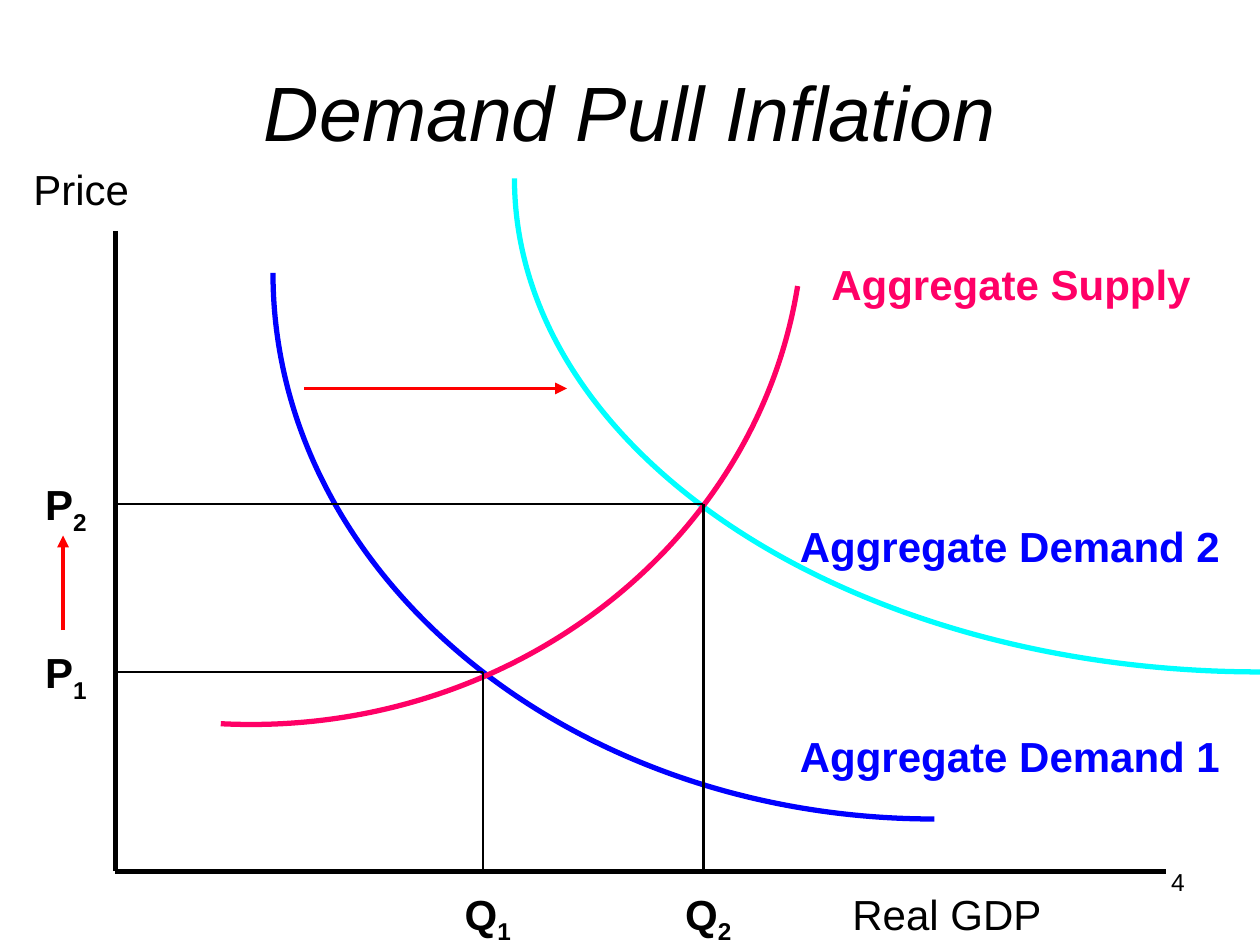
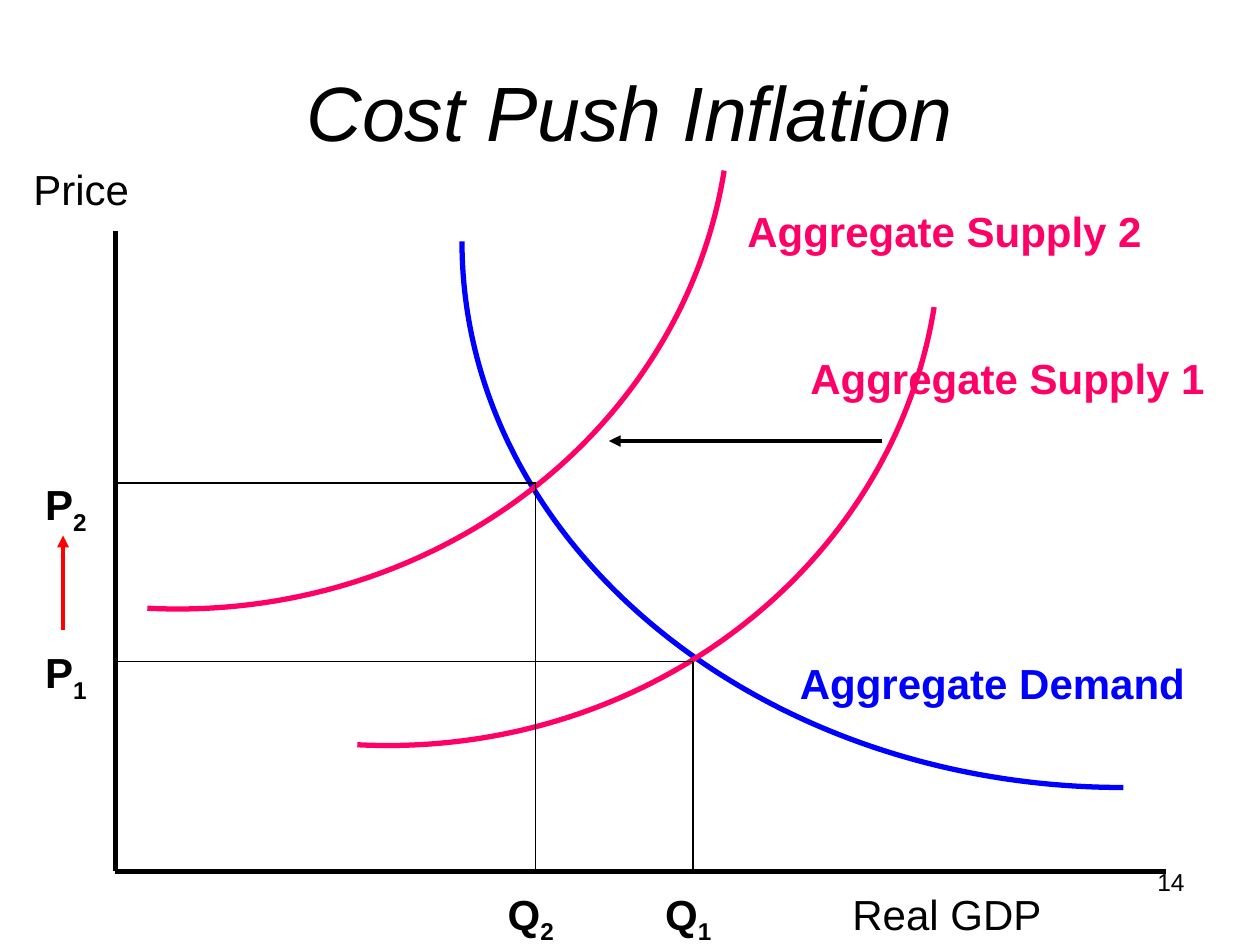
from math import cos, radians, sin, tan

from lxml.etree import SubElement
from pptx import Presentation
from pptx.dml.color import RGBColor
from pptx.enum.shapes import MSO_CONNECTOR
from pptx.enum.text import MSO_ANCHOR, MSO_AUTO_SIZE, PP_ALIGN
from pptx.oxml.ns import qn
from pptx.util import Pt

COLORS = {
    "ink": "000000",
    "demand": "0000FF",
    "new demand": "00FFFF",
    "supply": "FF0066",
    "shift": "FF0000",
}
FONT = "Arial"

# Axes, in points
AXIS_LEFT, AXIS_TOP, AXIS_RIGHT, AXIS_BOTTOM = 66, 132, 666, 498

# Each curve kind is part of an ellipse: start and end angle in degrees
ARC_ANGLES = {"demand": (90, 180), "supply": (93.1, 8.5)}

# curves: kind, colour, centre x, centre y, radius x, radius y
# equilibria: subscript, quantity x, price y, width of the quantity line, Q label left
# labels: text, colour, left, top, width
DIAGRAMS = [
    {
        "title": "Demand Pull Inflation",
        "number": "4",
        "curves": [
            ("demand", "new demand", 720, 102, 426, 282),
            ("demand", "demand", 534, 156, 378, 312),
            ("supply", "supply", 143.3, 120, 316, 294),
        ],
        "equilibria": [("1", 276, 384, 0.75, 258.5), ("2", 402, 288, 1.5, 384.5)],
        "labels": [
            ("Aggregate Supply", "supply", 468, 144, 222),
            ("Aggregate Demand 2", "demand", 450, 294, 270),
            ("Aggregate Demand 1", "demand", 450, 414, 270),
        ],
        "shift": ("shift", 174, 324, 222),
    },
    {
        "title": "Cost Push Inflation",
        "number": "14",
        "curves": [
            ("demand", "demand", 642, 138, 378, 312),
            ("supply", "supply", 221.3, 132, 316, 294),
            ("supply", "supply", 101.3, 54, 316, 294),
        ],
        "equilibria": [("1", 396, 378, 0.75, 373), ("2", 306, 276, 0.75, 283)],
        "labels": [
            ("Aggregate Supply 2", "supply", 420, 114, 252),
            ("Aggregate Supply 1", "supply", 456, 198, 252),
            ("Aggregate Demand", "demand", 450, 372, 270),
        ],
        "shift": ("ink", 504, 348, 252),
    },
]
PRICE_LABEL_TOPS = {"1": 366, "2": 270}


def add_text(slide, text, left, top, width, color="ink", size=24, bold=False, subscript=""):
    box = slide.shapes.add_textbox(Pt(left), Pt(top), Pt(width), Pt(40 if subscript else 36))
    frame = box.text_frame
    frame.word_wrap = not subscript
    frame.auto_size = MSO_AUTO_SIZE.SHAPE_TO_FIT_TEXT
    paragraph = frame.paragraphs[0]
    paragraph.add_run().text = text
    if subscript:
        run = paragraph.add_run()
        run.text = subscript
        run._r.get_or_add_rPr().set("baseline", "-25000")
    paragraph.font.name = FONT
    paragraph.font.size = Pt(size)
    paragraph.font.bold = bold
    paragraph.font.color.rgb = RGBColor.from_string(COLORS[color])
    return paragraph


def add_line(slide, start, end, width, color="ink", arrow=False):
    connector = slide.shapes.add_connector(
        MSO_CONNECTOR.STRAIGHT, *(Pt(value) for value in (*start, *end))
    )
    connector.line.width = Pt(width)
    connector.line.color.rgb = RGBColor.from_string(COLORS[color])
    if arrow:
        SubElement(connector.line._get_or_add_ln(), qn("a:tailEnd"), type="triangle")
    SubElement(connector._element.spPr, qn("a:effectLst"))


presentation = Presentation()
presentation.slide_width, presentation.slide_height = Pt(720), Pt(540)

for diagram in DIAGRAMS:
    slide = presentation.slides.add_slide(presentation.slide_layouts[5])

    # Title
    title = slide.shapes.title
    title.left, title.top, title.width, title.height = Pt(54), Pt(18), Pt(612), Pt(90)
    title.text_frame.text = diagram["title"]
    title.text_frame.vertical_anchor = MSO_ANCHOR.MIDDLE
    paragraph = title.text_frame.paragraphs[0]
    paragraph.alignment = PP_ALIGN.CENTER
    paragraph.font.name = FONT
    paragraph.font.size = Pt(44)
    paragraph.font.italic = True
    paragraph.font.color.rgb = RGBColor.from_string(COLORS["ink"])

    # Slide number
    number = add_text(slide, diagram["number"], 516, 492, 168, size=14)
    number.alignment = PP_ALIGN.RIGHT

    # Axes and their names
    origin = (AXIS_LEFT, AXIS_BOTTOM)
    add_line(slide, (AXIS_LEFT, AXIS_TOP), origin, 3)
    add_line(slide, origin, (AXIS_RIGHT, AXIS_BOTTOM), 3)
    add_text(slide, "Price", 12, 90, 100)
    add_text(slide, "Real GDP", 480, 504, 198)

    # Demand and supply curves, each one Bézier segment: start, two handles, end
    for kind, color, center_x, center_y, radius_x, radius_y in diagram["curves"]:
        first, last = (radians(angle) for angle in ARC_ANGLES[kind])
        handle = 4 / 3 * tan((last - first) / 4)
        points = [
            (
                Pt(center_x + radius_x * (cos(angle) - reach * sin(angle))),
                Pt(center_y + radius_y * (sin(angle) + reach * cos(angle))),
            )
            for angle, reach in ((first, 0), (first, handle), (last, -handle), (last, 0))
        ]
        builder = slide.shapes.build_freeform(*points[0])
        builder.add_line_segments(points[1:], close=False)
        curve = builder.convert_to_shape()
        segments = list(curve._element.iter(qn("a:lnTo")))
        outline = segments[0].getparent()
        bezier = SubElement(outline, qn("a:cubicBezTo"))
        for segment in segments:
            bezier.append(segment[0])
            outline.remove(segment)
        curve.shadow.inherit = False
        curve.fill.background()
        curve.line.width = Pt(3)
        curve.line.color.rgb = RGBColor.from_string(COLORS[color])

    # Equilibrium guides with price and quantity labels
    for subscript, quantity, price, width, label_left in diagram["equilibria"]:
        add_line(slide, (quantity, price), (AXIS_LEFT, price), 0.75)
        add_line(slide, (quantity, price), (quantity, AXIS_BOTTOM), width)
        add_text(slide, "P", 18.7, PRICE_LABEL_TOPS[subscript], 38.5, bold=True, subscript=subscript)
        add_text(slide, "Q", label_left, 504, 41.5, bold=True, subscript=subscript)

    # Curve names
    for text, color, left, top, width in diagram["labels"]:
        add_text(slide, text, left, top, width, color, bold=True)

    # Arrows for the price rise and the curve shift
    add_line(slide, (36, 360), (36, 306), 2.25, "shift", arrow=True)
    color, start_x, end_x, y = diagram["shift"]
    add_line(slide, (start_x, y), (end_x, y), 2.25, color, arrow=True)

presentation.save("out.pptx")
